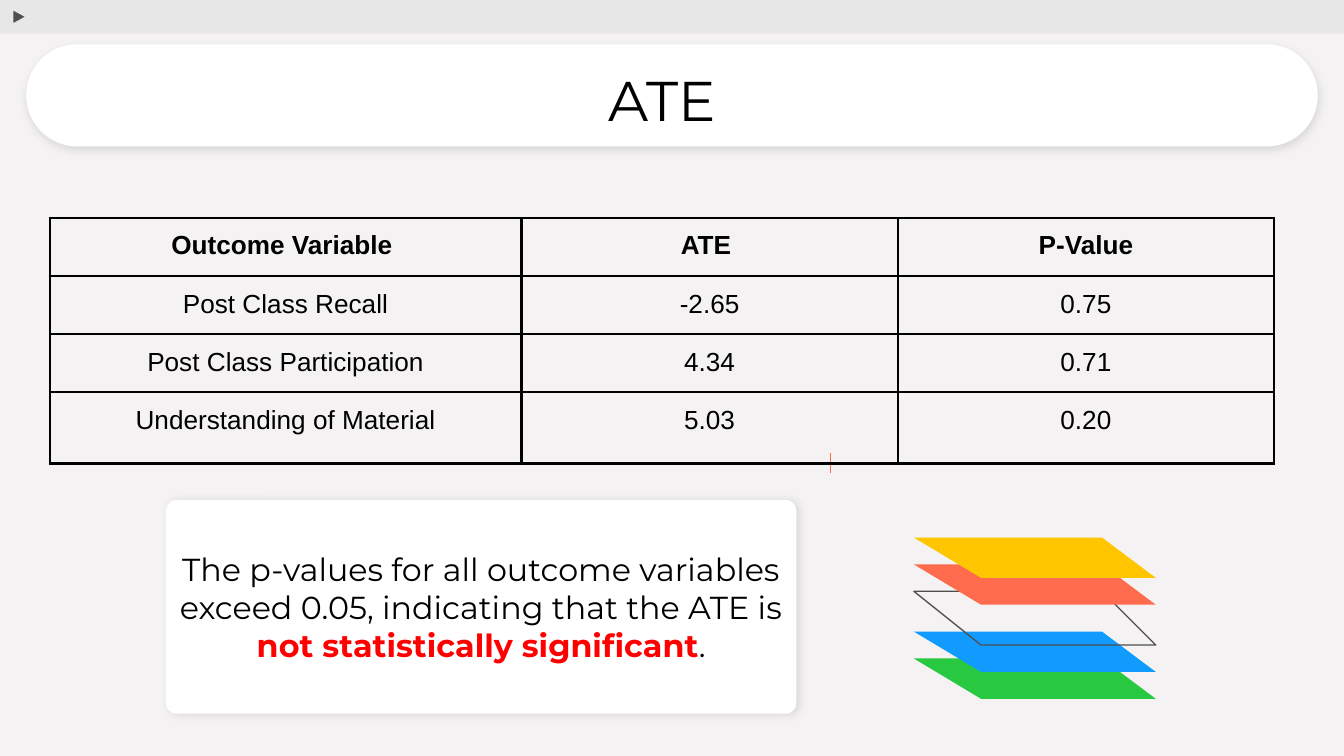
"""Build the ATE results slide on a grid of tenth-of-an-inch columns and rows."""
from lxml.etree import SubElement
from pptx import Presentation
from pptx.dml.color import RGBColor
from pptx.enum.shapes import MSO_CONNECTOR, MSO_SHAPE
from pptx.enum.text import MSO_ANCHOR, MSO_AUTO_SIZE, PP_ALIGN
from pptx.oxml import parse_xml
from pptx.oxml.ns import nsdecls, qn
from pptx.util import Inches, Pt

BLACK, WHITE, GRAY, CORAL = "000000", "FFFFFF", "4F4F4F", "FF6B4D"
BAR = "E7E7E7"


def color(value):
    return RGBColor.from_string(value)


def grid(*units):
    return [Inches(unit / 10) for unit in units]


class Slide:
    def __init__(self, deck, background, font):
        self.page = deck.slides.add_slide(deck.slide_layouts[0])
        self.page.background.fill.solid()
        self.page.background.fill.fore_color.rgb = color(background)
        self.font = font

    def paint(self, shape, fill=None, line=None):
        shape.shadow.inherit = False
        if fill:
            shape.fill.solid()
            shape.fill.fore_color.rgb = color(fill)
        else:
            shape.fill.background()
        if line:
            shape.line.color.rgb = color(line)
            shape.line.width = Pt(0.75)
        else:
            shape.line.fill.background()

    def shape(self, kind, area, fill, line=None):
        shape = self.page.shapes.add_shape(kind, *grid(*area))
        self.paint(shape, fill, line)
        return shape

    def card(self, area, rounding, angle, opacity):
        card = self.shape(MSO_SHAPE.ROUNDED_RECTANGLE, area, WHITE)
        card.adjustments[0] = rounding
        effects = card.element.spPr.find(qn("a:effectLst"))
        effects.append(parse_xml(
            f'<a:outerShdw {nsdecls("a")} blurRad="{Pt(4.5)}" dist="{Pt(1.5)}" '
            f'dir="{angle * 60000}" algn="bl" rotWithShape="0"><a:srgbClr val="{BLACK}">'
            f'<a:alpha val="{opacity * 1000}"/></a:srgbClr></a:outerShdw>'))

    def line(self, start, end, stroke):
        line = self.page.shapes.add_connector(
            MSO_CONNECTOR.STRAIGHT, *grid(*start), *grid(*end))
        line.line.color.rgb = color(stroke)
        line.line.width = Pt(0.75)
        SubElement(line.element.spPr, qn("a:effectLst"))

    def layers(self, left, top, step, styles):
        group = self.page.shapes.add_group_shape()
        for level in reversed(range(len(styles))):
            y = top + level * step
            outline = group.shapes.build_freeform(left, y, scale=Inches(0.1))
            outline.add_line_segments(
                [(left + 13.45, y), (left + 17.95, y + 3.4), (left + 4.5, y + 3.4)])
            self.paint(outline.convert_to_shape(), **styles[level])

    def span(self, para, text, size, font=None, fill=BLACK, bold=False):
        span = para.add_run()
        span.text = text
        formats = {"name": font or self.font, "size": Pt(size), "bold": bold}
        for name, value in formats.items():
            setattr(span.font, name, value)
        span.font.color.rgb = color(fill)

    def placeholder(self, index, area, spans, size, **formats):
        box = self.page.placeholders[index]
        box.left, box.top, box.width, box.height = grid(*area)
        box.element.getparent().append(box.element)
        frame = box.text_frame
        formats = {"word_wrap": True, "auto_size": MSO_AUTO_SIZE.NONE, **formats}
        for name, value in formats.items():
            setattr(frame, name, value)
        para = frame.paragraphs[0]
        para.alignment = PP_ALIGN.CENTER
        para.space_before = Pt(0)
        para.line_spacing = 1.0
        for text, style in spans:
            self.span(para, text, size, **style)

    def table(self, corner, columns, rows, records):
        area = (*corner, sum(columns), sum(rows))
        table = self.page.shapes.add_table(len(rows), len(columns), *grid(*area)).table
        table.first_row = table.horz_banding = False
        for tracks, sizes, name in ((table.columns, columns, "width"),
                                    (table.rows, rows, "height")):
            for track, size in zip(tracks, grid(*sizes)):
                setattr(track, name, size)
        for row, record in enumerate(records):
            for column, text in enumerate(record):
                self.cell(table.cell(row, column), text, row == 0)

    def cell(self, cell, text, bold):
        for side in ("left", "top", "right", "bottom"):
            setattr(cell, f"margin_{side}", Inches(0.1))
        para = cell.text_frame.paragraphs[0]
        para.alignment = PP_ALIGN.CENTER
        self.span(para, text, 14, "Arial", bold=bold)
        cell.fill.background()
        properties = cell._tc.get_or_add_tcPr()
        for place, side in enumerate("LRTB"):
            properties.insert(place, parse_xml(
                f'<a:ln{side} {nsdecls("a")} w="{Pt(1.5)}"><a:solidFill>'
                f'<a:srgbClr val="{BLACK}"/></a:solidFill></a:ln{side}>'))


def main():
    deck = Presentation()
    deck.slide_width, deck.slide_height = grid(100, 56.25)
    slide = Slide(deck, "F4F2F2", "Montserrat")

    slide.shape(MSO_SHAPE.RECTANGLE, (0, 0, 100, 2.5), BAR)
    arrow = slide.shape(MSO_SHAPE.ISOSCELES_TRIANGLE, (0.9, 0.75, 1.1, 1), GRAY, BAR)
    arrow.rotation = 90

    slide.line((61.8, 35.2), (61.8, 33.7), CORAL)
    slide.layers(68.25, 39.7, 2.27, [
        {"fill": "FFC600"}, {"fill": CORAL}, {"line": GRAY},
        {"fill": "119BFE"}, {"fill": "28C840"}])

    slide.card((1.95, 3.3, 96.1, 7.6), 0.5, 90, 10)
    slide.placeholder(0, (5.9, 4.1, 86.7, 6.6), [("ATE", {})], 30,
                      vertical_anchor=MSO_ANCHOR.MIDDLE)

    slide.table((3.7, 16.2), (35.1, 28, 28), (4.33, 4.33, 4.33, 5.3), [
        ("Outcome Variable ", "ATE ", "P-Value"),
        ("Post Class Recall", "-2.65", "0.75"),
        ("Post Class Participation", "4.34", "0.71"),
        ("Understanding of Material", "5.03", "0.20")])

    slide.card((12.35, 37.2, 46.9, 15.9), 0.05, 0, 11)
    slide.placeholder(1, (12.35, 37.2, 46.9, 14.4), [
        ("The p-values for all outcome variables exceed 0.05, "
         "indicating that the ATE is ", {}),
        ("not statistically significant", {"fill": "FF0000", "bold": True}),
        (".", {})], 17, vertical_anchor=MSO_ANCHOR.TOP, margin_top=Inches(0.37))

    deck.save("out.pptx")


if __name__ == "__main__":
    main()
